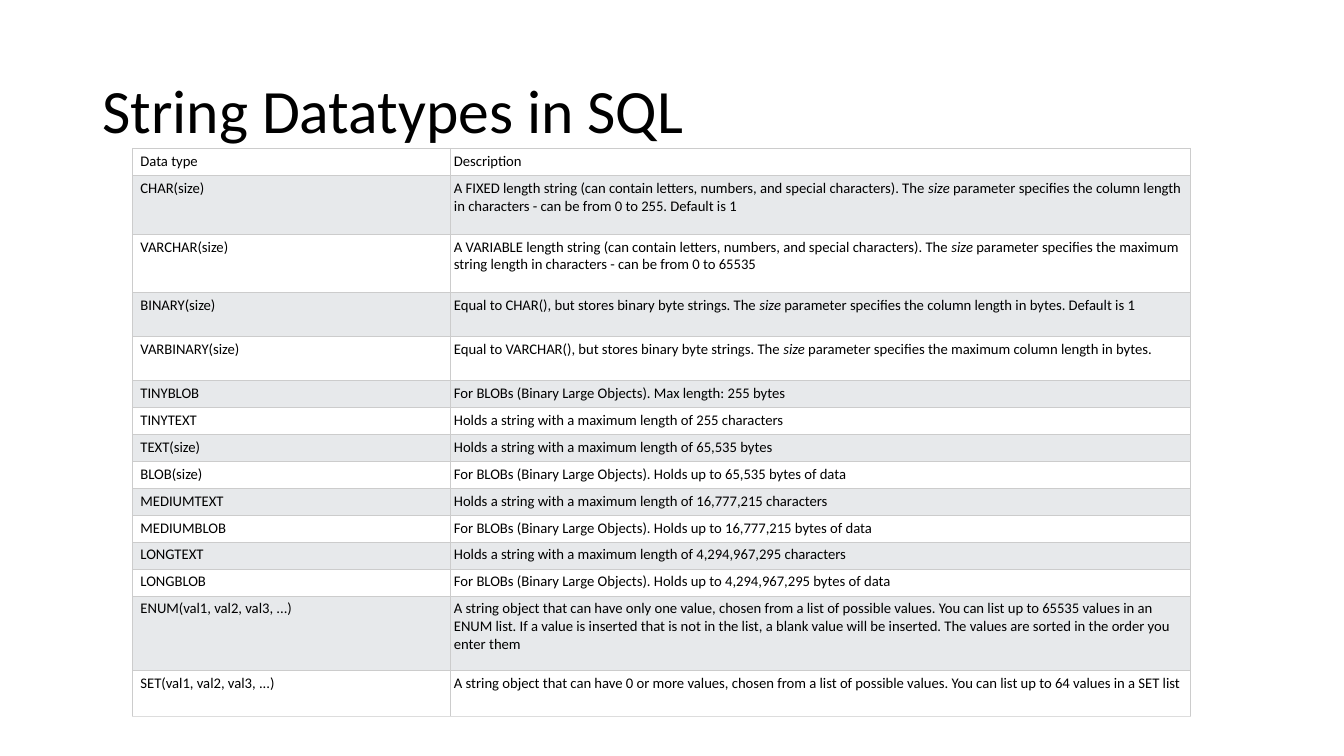
from lxml.etree import SubElement
from pptx import Presentation
from pptx.dml.color import RGBColor
from pptx.enum.text import MSO_ANCHOR
from pptx.oxml.ns import qn
from pptx.util import Cm, Pt

BLACK = RGBColor(0x00, 0x00, 0x00)
WHITE = RGBColor(0xFF, 0xFF, 0xFF)
BAND = RGBColor(0xE7, 0xE9, 0xEB)
GRID = RGBColor(0xCC, 0xCC, 0xCC)
BOTTOM = RGBColor(0xDD, 0xDD, 0xDD)
FONT = "Calibri"

# Row height in cm, data type, description (asterisks enclose italics)
LINE = 0.68
ROWS = [
    (LINE, "Data type", "Description"),
    (1.48, "CHAR(size)",
     "A FIXED length string (can contain letters, numbers, and special characters). "
     "The *size* parameter specifies the column length in characters - "
     "can be from 0 to 255. Default is 1"),
    (1.48, "VARCHAR(size)",
     "A VARIABLE length string (can contain letters, numbers, and special characters). "
     "The *size* parameter specifies the maximum string length in characters - "
     "can be from 0 to 65535"),
    (1.1, "BINARY(size)",
     "Equal to CHAR(), but stores binary byte strings. "
     "The *size* parameter specifies the column length in bytes. Default is 1"),
    (1.1, "VARBINARY(size)",
     "Equal to VARCHAR(), but stores binary byte strings. "
     "The *size* parameter specifies the maximum column length in bytes."),
    (LINE, "TINYBLOB", "For BLOBs (Binary Large Objects). Max length: 255 bytes"),
    (LINE, "TINYTEXT", "Holds a string with a maximum length of 255 characters"),
    (LINE, "TEXT(size)", "Holds a string with a maximum length of 65,535 bytes"),
    (LINE, "BLOB(size)",
     "For BLOBs (Binary Large Objects). Holds up to 65,535 bytes of data"),
    (LINE, "MEDIUMTEXT",
     "Holds a string with a maximum length of 16,777,215 characters"),
    (LINE, "MEDIUMBLOB",
     "For BLOBs (Binary Large Objects). Holds up to 16,777,215 bytes of data"),
    (LINE, "LONGTEXT",
     "Holds a string with a maximum length of 4,294,967,295 characters"),
    (LINE, "LONGBLOB",
     "For BLOBs (Binary Large Objects). Holds up to 4,294,967,295 bytes of data"),
    (1.88, "ENUM(val1, val2, val3, ...)",
     "A string object that can have only one value, chosen from a list of possible values. "
     "You can list up to 65535 values in an ENUM list. If a value is inserted that is not "
     "in the list, a blank value will be inserted. The values are sorted in the order you "
     "enter them"),
    (1.15, "SET(val1, val2, val3, ...)",
     "A string object that can have 0 or more values, chosen from a list of possible values. "
     "You can list up to 64 values in a SET list"),
]


def set_font(para, size):
    para.font.name = FONT
    para.font.size = Pt(size)
    para.font.color.rgb = BLACK


def add_borders(cell, bottom_color):
    properties = cell._tc.get_or_add_tcPr()
    sides = [("a:lnL", GRID), ("a:lnR", GRID), ("a:lnT", GRID), ("a:lnB", bottom_color)]
    for side, color in sides:
        line = SubElement(properties, qn(side), w=str(Pt(0.75)))
        fill = SubElement(line, qn("a:solidFill"))
        SubElement(fill, qn("a:srgbClr"), val=str(color))


deck = Presentation()
deck.slide_width, deck.slide_height = Cm(33.87), Cm(19.05)
page = deck.slides.add_slide(deck.slide_layouts[6])

# Title
title = page.shapes.add_textbox(Cm(2.33), Cm(1.01), Cm(29.21), Cm(3.68))
title.text_frame.word_wrap = True
title.text_frame.vertical_anchor = MSO_ANCHOR.MIDDLE
para = title.text_frame.paragraphs[0]
para.text = "String Datatypes in SQL"
para.line_spacing = 0.9
set_font(para, 44)

# Table of data types
height = sum(row[0] for row in ROWS)
table = page.shapes.add_table(
    len(ROWS), 2, Cm(3.34), Cm(3.74), Cm(26.67), Cm(height)).table
table.columns[0].width = Cm(8)
table.columns[1].width = Cm(18.67)

for row_index, (row_height, *texts) in enumerate(ROWS):
    table.rows[row_index].height = Cm(row_height)
    is_last = row_index == len(ROWS) - 1
    for column_index, text in enumerate(texts):
        cell = table.cell(row_index, column_index)
        cell.margin_left = Cm(0.1 if column_index else 0.2)
        cell.margin_right = cell.margin_top = cell.margin_bottom = Cm(0.1)
        add_borders(cell, BOTTOM if is_last else GRID)
        cell.fill.solid()
        cell.fill.fore_color.rgb = BAND if row_index % 2 else WHITE
        para = cell.text_frame.paragraphs[0]
        set_font(para, 10.5)
        para.font.bold = False
        for part_index, part in enumerate(text.split("*")):
            span = para.add_run()
            span.text = part
            if part_index % 2:
                span.font.italic = True

deck.save("out.pptx")
